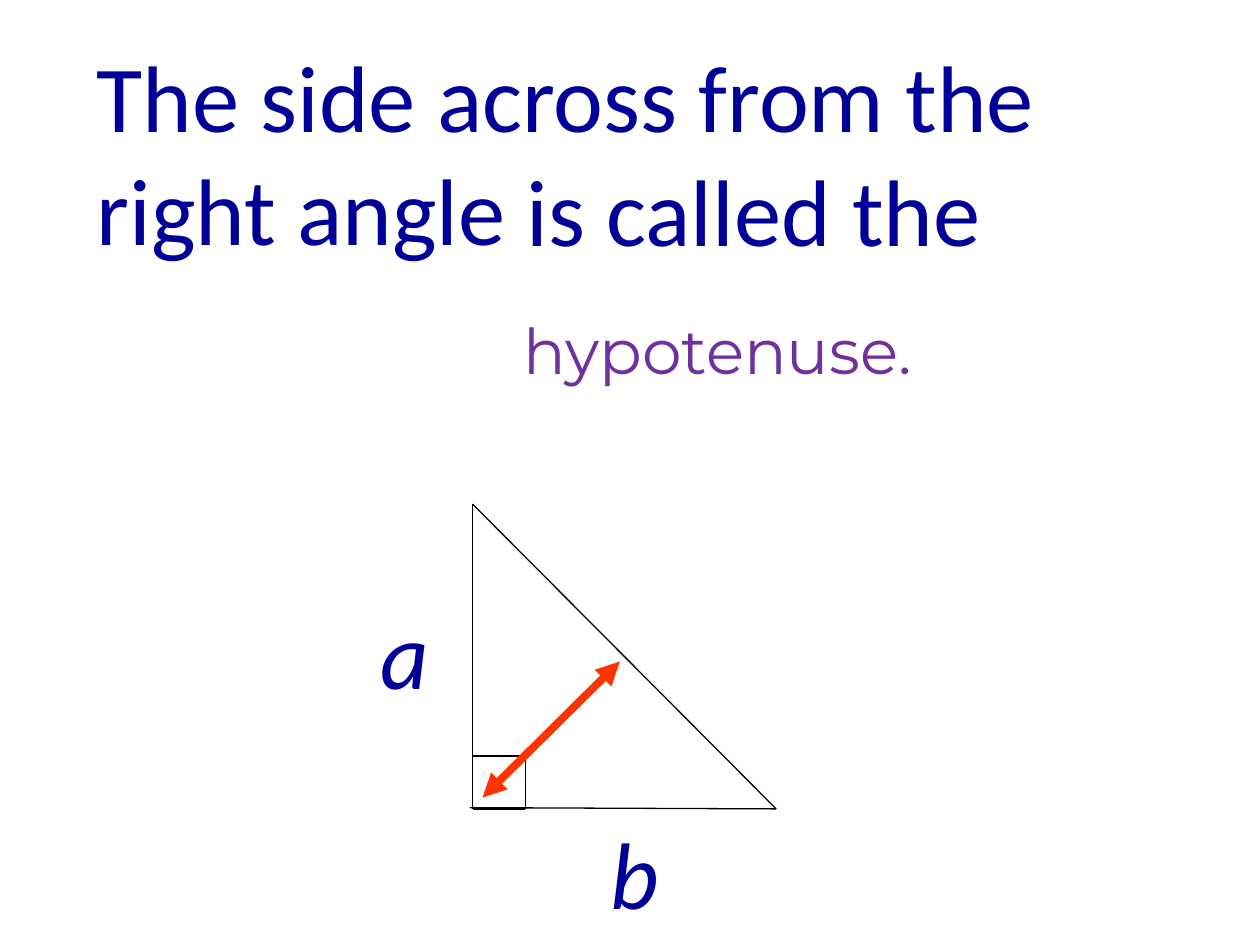
"""Build a slide that names the hypotenuse of a right triangle."""
import pptx
import pptx.util
import pptx.dml.color
import pptx.enum.shapes
import pptx.enum.text
import pptx.oxml.ns
from lxml import etree

Inches = pptx.util.Inches
HUES = {"navy": "000099", "plum": "7030A0", "red": "FF3300", "black": "000000"}

deck = pptx.Presentation()
deck.slide_width, deck.slide_height = Inches(10), Inches(7.5)
slide = deck.slides.add_slide(deck.slide_layouts[6])


def add_line(ends, hue="black", width=0.75):
    line = slide.shapes.add_connector(
        pptx.enum.shapes.MSO_CONNECTOR.STRAIGHT, *[Inches(v) for v in ends])
    line.line.color.rgb = pptx.dml.color.RGBColor.from_string(HUES[hue])
    line.line.width = pptx.util.Pt(width)
    etree.SubElement(line._element.spPr, pptx.oxml.ns.qn("a:effectLst"))
    return line


def add_text(text, place, hue="navy", wrap=True, align="LEFT", **font):
    frame = slide.shapes.add_textbox(*[Inches(v) for v in place]).text_frame
    frame.word_wrap = wrap
    para = frame.paragraphs[0]
    para.text = text
    para.alignment = getattr(pptx.enum.text.PP_ALIGN, align)
    face = para.runs[0].font
    face.color.rgb = pptx.dml.color.RGBColor.from_string(HUES[hue])
    form = {"name": "Calibri", "size": pptx.util.Pt(54), **font}
    for key, value in form.items():
        setattr(face, key, value)


left, top, right, base = 3.75, 4, 6.16, 6.42
mark = 0.42

add_line((right, base, 3.73, 6.41))
add_text("The side across from the right angle", (0.67, 0.25, 9.08, 1.9))

for ends in (
    (left + mark, base - mark, left + mark, base),
    (left, base - mark, left + mark, base - mark),
    (left, top, left, base),
    (left, base, left + mark, base),
    (left, top, right, base),
):
    add_line(ends)

for name, x, y in (("a", 2.92, 4.67), ("b", 4.75, 6.42)):
    add_text(name, (x, y, 1.25, 1), italic=True)

add_text("is called the", (4.08, 1.16, 4.08, 1))
add_text("hypotenuse.", (2.83, 2.42, 5.73, 1.28), "plum", False, "CENTER",
         name="Montserrat", size=pptx.util.Pt(36))

arrow = add_line((3.83, 6.33, 4.92, 5.25), "red", 4.5)
stroke = arrow.line._get_or_add_ln()
for end in ("a:headEnd", "a:tailEnd"):
    etree.SubElement(stroke, pptx.oxml.ns.qn(end), type="triangle")

deck.save("out.pptx")
